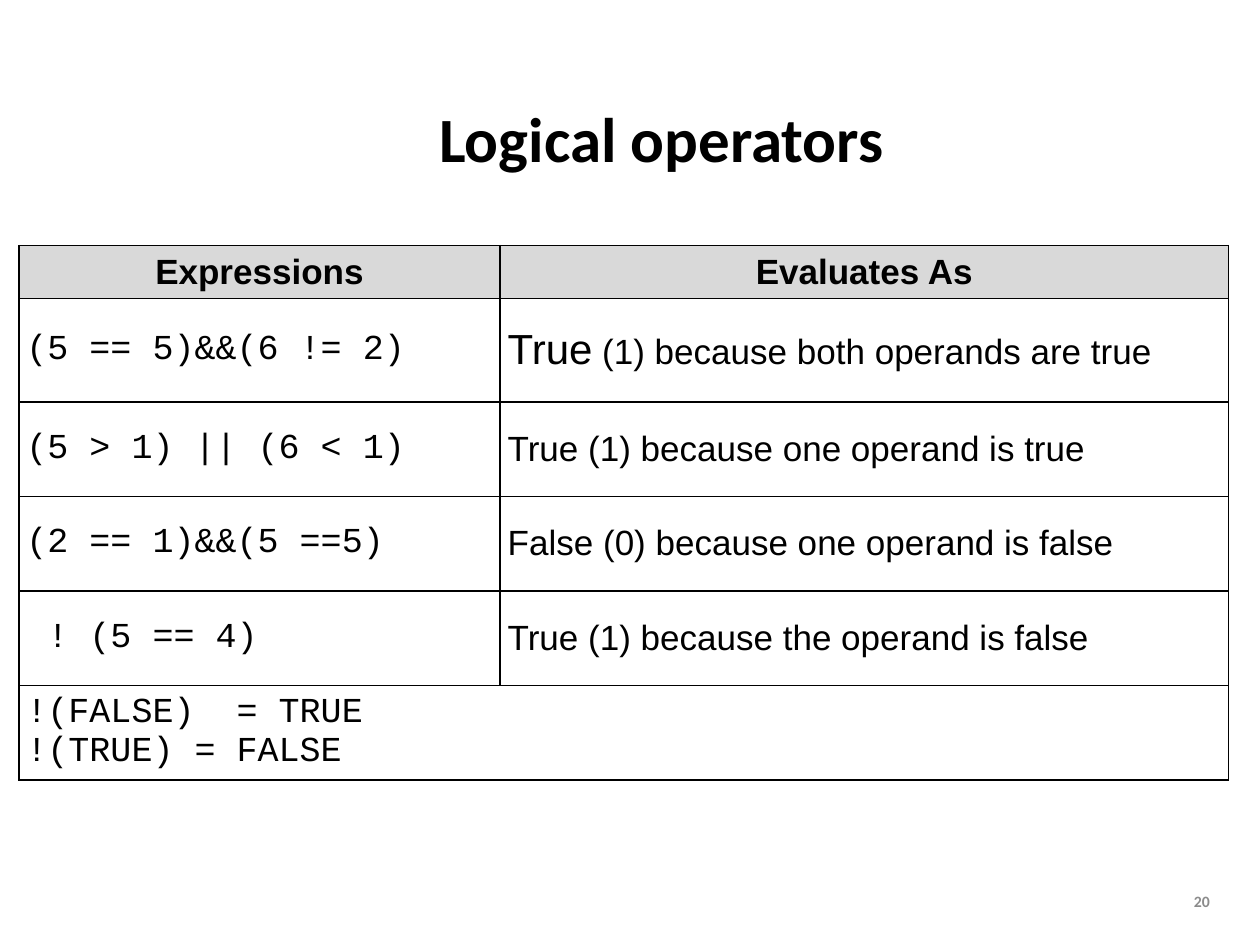
from dataclasses import dataclass

from lxml import etree
from pptx import Presentation
from pptx.dml.color import RGBColor
from pptx.enum.text import MSO_ANCHOR, PP_ALIGN
from pptx.oxml.ns import qn
from pptx.util import Inches, Pt

MIDDLE = MSO_ANCHOR.MIDDLE
LEFT, CENTER, RIGHT = PP_ALIGN.LEFT, PP_ALIGN.CENTER, PP_ALIGN.RIGHT
BLACK, GRAY, HEADER_FILL = "000000", "8C8C8C", "D9D9D9"
SANS, CODE = "Arial", "Courier New"
COL_WIDTHS = (3.82, 5.78)
ROW_HEIGHTS = (0.42, 0.82, 0.75, 0.75, 0.75, 0.75, 0.84)


@dataclass
class Example:
    expression: str
    value: str
    reason: str
    value_size: int = 20


EXAMPLES = [
    Example("(5 == 5)&&(6 != 2)", "True", " (1) because both operands are true", 24),
    Example("(5 > 1) || (6 < 1)", "True", " (1) because one operand is true"),
    Example("(2 == 1)&&(5 ==5)", "False", " (0) because one operand is false"),
    Example(" ! (5 == 4)", "True", " (1) because the operand is false"),
]
NEGATIONS = ["!(FALSE)  = TRUE", "!(TRUE) = FALSE"]


def rgb(color: str) -> RGBColor:
    return RGBColor.from_string(color)


def style(p, name: str, size: int, color: str = BLACK, bold: bool = False, align=LEFT) -> None:
    p.alignment = align
    p.font.name, p.font.size, p.font.bold = name, Pt(size), bold
    p.font.color.rgb = rgb(color)


def set_borders(cell, drawn: str) -> None:
    """Draw the named sides in black and clear the others."""
    tcPr = cell._tc.get_or_add_tcPr()
    for side in "LRTB":
        ln = etree.SubElement(tcPr, qn(f"a:ln{side}"), w=str(Pt(1)))
        if side in drawn:
            fill = etree.SubElement(ln, qn("a:solidFill"))
            etree.SubElement(fill, qn("a:srgbClr"), val=BLACK)
        else:
            etree.SubElement(ln, qn("a:noFill"))


def write_lines(cell, lines: list[str], name: str, bold: bool = False, align=LEFT) -> None:
    tf = cell.text_frame
    for i, line in enumerate(lines):
        p = tf.add_paragraph() if i else tf.paragraphs[0]
        p.text = line
        style(p, name, 20, bold=bold, align=align)


def add_operator_table(s) -> None:
    rows, cols = len(ROW_HEIGHTS), len(COL_WIDTHS)
    table = s.shapes.add_table(rows, cols, Inches(0.15), Inches(1.95),
                               Inches(sum(COL_WIDTHS)), Inches(sum(ROW_HEIGHTS))).table
    table.first_row = table.horz_banding = False
    for col, width in zip(table.columns, COL_WIDTHS):
        col.width = Inches(width)
    for i, height in enumerate(ROW_HEIGHTS):
        table.rows[i].height = Inches(height)
        for cell in table.rows[i].cells:
            cell.vertical_anchor = MIDDLE
            cell.margin_left = cell.margin_right = Inches(0.06)
            cell.margin_top = cell.margin_bottom = 0
            set_borders(cell, "T" if i == rows - 1 else "LRTB")
            if i == 0:
                cell.fill.solid()
                cell.fill.fore_color.rgb = rgb(HEADER_FILL)
            else:
                cell.fill.background()

    # Header and examples
    for j, heading in enumerate(("Expressions", "Evaluates As")):
        write_lines(table.cell(0, j), [heading], SANS, bold=True, align=CENTER)
    for i, example in enumerate(EXAMPLES, start=1):
        write_lines(table.cell(i, 0), [example.expression], CODE)
        p = table.cell(i, 1).text_frame.paragraphs[0]
        style(p, SANS, 20)
        for text, size in ((example.value, example.value_size), (example.reason, 20)):
            r = p.add_run()
            r.text = text
            r.font.name, r.font.size = SANS, Pt(size)
            r.font.color.rgb = rgb(BLACK)

    # Full-width rows
    for i in (rows - 2, rows - 1):
        table.cell(i, 0).merge(table.cell(i, 1))
    write_lines(table.cell(rows - 2, 0), NEGATIONS, CODE)


def main() -> None:
    prs = Presentation()
    prs.slide_width, prs.slide_height = Inches(10), Inches(7.5)
    s = prs.slides.add_slide(prs.slide_layouts[5])

    # Title
    title = s.shapes.title
    title.left, title.top = Inches(2.31), Inches(0.85)
    title.width, title.height = Inches(5.88), Inches(0.56)
    tf = title.text_frame
    tf.text = "Logical operators"
    tf.vertical_anchor = MIDDLE
    p = tf.paragraphs[0]
    p.line_spacing = 0.9
    style(p, "Calibri", 36, bold=True, align=CENTER)

    add_operator_table(s)

    # Page number
    tf = s.shapes.add_textbox(Inches(9.31), Inches(6.95), Inches(0.39), Inches(0.4)).text_frame
    tf.word_wrap = True
    tf.vertical_anchor = MIDDLE
    tf.text = "20"
    style(tf.paragraphs[0], "Calibri", 9, GRAY, bold=True, align=RIGHT)

    prs.save("out.pptx")


if __name__ == "__main__":
    main()
